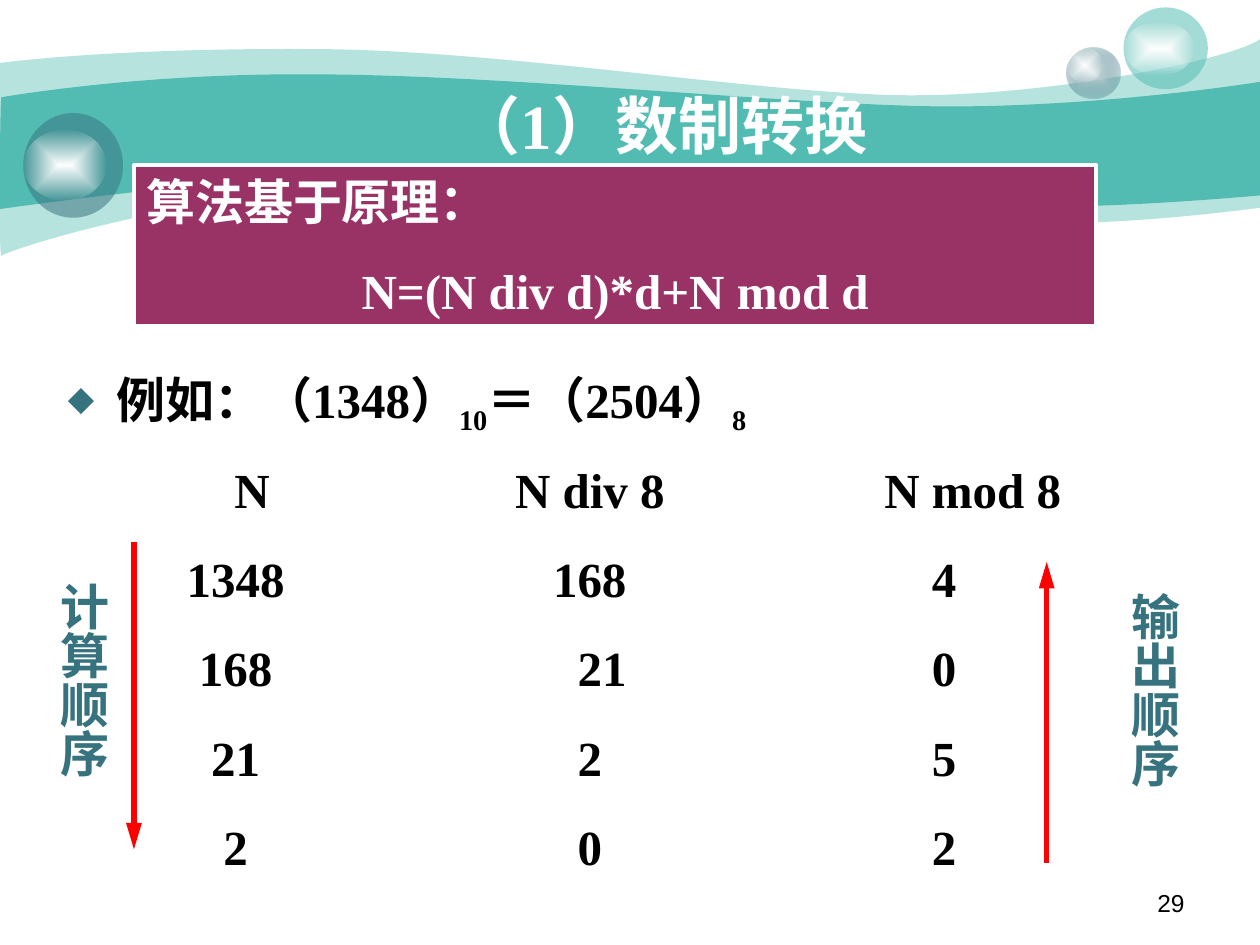
"""Build the number base conversion slide."""
from dataclasses import dataclass

from lxml.etree import SubElement
from pptx import Presentation
from pptx.dml.color import RGBColor
from pptx.enum.shapes import MSO_CONNECTOR as CONN, MSO_SHAPE as SHAPE
from pptx.enum.text import MSO_ANCHOR as ANCHOR, PP_ALIGN as ALIGN
from pptx.oxml.ns import qn
from pptx.util import Cm, Pt

TEAL, DARK, PLUM = "52BCB2", "37737F", "993366"
WHITE, BLACK, RED = "FFFFFF", "000000", "FF0000"
GAP = 17.5


@dataclass
class Wave:
    start: tuple
    segments: list
    alpha: int


@dataclass
class Ball:
    box: tuple
    shine: tuple
    stops: list


@dataclass
class Row:
    cells: tuple
    centres: tuple = (0.99, 8.13, 15.27)


@dataclass
class Order:
    label: str
    label_box: tuple
    x: float
    y1: float
    y2: float


WAVES = [
    Wave((0, 1.27), [
        (0.61, 1.19, 2.72, 0.97, 6.27, 0.99), (9.8, 0.99, 14.61, 1.78, 17.75, 1.91),
        (20.88, 2.03, 24.89, 1.19, 25.4, 0.79), (25.4, 4.19),
        (21.79, 4.65, 19.99, 4.5, 17.91, 4.45), (15.8, 4.39, 13.08, 3.84, 8.71, 3.76),
        (4.37, 3.66, 0.1, 5.05, 0.03, 5.16), (-0.03, 5.28, 0, 1.91, 0, 1.27)], 41),
    Wave((0.03, 1.96), [
        (0.05, 1.96, 2.79, 1.47, 6.3, 1.5), (9.8, 1.5, 15.11, 2.03, 18.24, 2.13),
        (21.36, 2.24, 24.79, 1.75, 25.4, 1.65), (25.4, 3.94),
        (21.67, 4.27, 19.43, 4.19, 17.32, 4.09), (15.21, 4.01, 11.35, 3.45, 8.05, 3.48),
        (5.16, 3.48, -0.05, 4.22, -0.03, 4.22), (0, 4.22, 0, 1.96, 0.03, 1.96)], 100),
]
BALLS = [
    Ball((21.51, 0.97, 1.07, 1.02), (21.51, 0.97, 0.71, 0.69), [("CCDBDE", 100), (DARK, 31)]),
    Ball((22.65, 0.15, 1.7, 1.65), (22.65, 0.43, 1.42, 1.09), [(TEAL, 53)]),
    Ball((0.47, 2.28, 2.01, 2.11), (0.47, 2.62, 1.68, 1.42), [(DARK, 53)]),
]
ROWS = [
    Row(("N", "N div 8", "N mod 8"), (1.32, 8.13, 15.85)),
    Row(("1348", "168", "4")),
    Row(("168", "21", "0"), (0.99, 8.38, 15.27)),
    Row(("21", "2", "5")),
    Row(("2", "0", "2")),
]
ORDERS = [
    Order("计算顺序", (0.72, 9.93, 1.68, 7.59), 2.7, 10.92, 17.12),
    Order("输出顺序", (22.31, 10.13, 1.68, 7.59), 21.1, 17.4, 11.33),
]


def rgb(value: str) -> RGBColor:
    return RGBColor.from_string(value)


def add_alpha(color, percent: int) -> None:
    if percent < 100:
        SubElement(color, qn("a:alpha"), val=str(percent * 1000))


def paint(sp, stops: list) -> None:
    """Fill with one (colour, opacity) stop, or with a gradient from the centre."""
    sp.shadow.inherit = False
    sp.line.fill.background()
    if len(stops) == 1:
        color, alpha = stops[0]
        sp.fill.solid()
        sp.fill.fore_color.rgb = rgb(color)
        add_alpha(sp.fill._xPr.find(f".//{qn('a:srgbClr')}"), alpha)
        return
    sp.fill.gradient()
    grad = sp.fill._xPr.find(qn("a:gradFill"))
    for child in list(grad):
        grad.remove(child)
    stop_list = SubElement(grad, qn("a:gsLst"))
    for pos, (color, alpha) in zip(("0", "100000"), stops):
        stop = SubElement(stop_list, qn("a:gs"), pos=pos)
        add_alpha(SubElement(stop, qn("a:srgbClr"), val=color), alpha)
    focus = SubElement(grad, qn("a:path"), path="rect")
    SubElement(focus, qn("a:fillToRect"), l="50000", t="50000", r="50000", b="50000")


def add_wave(s, wave: Wave) -> None:
    """Lay out all points as a polygon, then join each triple into a Bezier curve."""
    points = [wave.start]
    for seg in wave.segments:
        points += zip(seg[::2], seg[1::2])
    emu = [(Cm(x), Cm(y)) for x, y in points]
    builder = s.shapes.build_freeform(*emu[0])
    builder.add_line_segments(emu[1:])
    sp = builder.convert_to_shape()
    steps = iter(list(sp._element.iter(qn("a:lnTo"))))
    for seg in wave.segments:
        first = next(steps)
        if len(seg) == 2:
            continue
        curve = SubElement(first.getparent(), qn("a:cubicBezTo"))
        first.addprevious(curve)
        for step in (first, next(steps), next(steps)):
            curve.append(step[0])
            step.getparent().remove(step)
    paint(sp, [(TEAL, wave.alpha)])


def add_oval(s, box: tuple, stops: list) -> None:
    paint(s.shapes.add_shape(SHAPE.OVAL, *map(Cm, box)), stops)


def add_box(s, box: tuple, anchor=ANCHOR.TOP):
    tf = s.shapes.add_textbox(*map(Cm, box)).text_frame
    tf.word_wrap = True
    tf.vertical_anchor = anchor
    return tf


def add_text(p, text: str, *, size=28, color=BLACK, bold=True, font="Times New Roman",
             align=ALIGN.LEFT, base=0) -> None:
    p.alignment = align
    r = p.add_run()
    r.text = text
    r.font.size, r.font.bold, r.font.name = Pt(size), bold, font
    r.font.color.rgb = rgb(color)
    if base:
        r.font._element.set("baseline", str(base * 1000))


def add_principle(s) -> None:
    sp = s.shapes.add_shape(SHAPE.RECTANGLE, *map(Cm, (2.7, 3.33, 19.4, 3.25)))
    paint(sp, [(PLUM, 100)])
    sp.line.color.rgb, sp.line.width = rgb(WHITE), Pt(2.25)
    tf = sp.text_frame
    tf.word_wrap, tf.vertical_anchor = True, ANCHOR.TOP
    add_text(tf.paragraphs[0], "算法基于原理：", color=WHITE)
    p = tf.add_paragraph()
    p.space_before = Pt(GAP)
    add_text(p, "N=(N div d)*d+N mod d", color=WHITE, align=ALIGN.CENTER)


def add_example(s) -> None:
    p = add_box(s, (0.9, 7.32, 19.4, 1.6)).paragraphs[0]
    pPr = p._p.get_or_add_pPr()
    pPr.set("marL", str(Cm(1.2)))
    pPr.set("indent", str(Cm(-0.98)))
    SubElement(SubElement(pPr, qn("a:buClr")), qn("a:srgbClr"), val=DARK)
    SubElement(pPr, qn("a:buSzPct"), val="70000")
    SubElement(pPr, qn("a:buChar"), char="◆")
    for text, base in (("例如：（1348）", 0), ("10", -25), ("＝（2504）", 0), ("8", -25)):
        add_text(p, text, base=base)


def add_rows(s, rows: list) -> None:
    tf = add_box(s, (3.51, 9.13, 19, 9.86))
    for i, row in enumerate(rows):
        p = tf.add_paragraph() if i else tf.paragraphs[0]
        if i:
            p.space_before = Pt(GAP)
        tabs = SubElement(p._p.get_or_add_pPr(), qn("a:tabLst"))
        for centre in row.centres:
            SubElement(tabs, qn("a:tab"), pos=str(Cm(centre)), algn="ctr")
        add_text(p, "".join(f"\t{cell}" for cell in row.cells))


def add_order(s, order: Order) -> None:
    ends = map(Cm, (order.x, order.y1, order.x, order.y2))
    line = s.shapes.add_connector(CONN.STRAIGHT, *ends)
    line.line.color.rgb, line.line.width = rgb(RED), Pt(3)
    SubElement(line.line._get_or_add_ln(), qn("a:tailEnd"), type="triangle", len="lg")
    SubElement(line._element.spPr, qn("a:effectLst"))
    tf = add_box(s, order.label_box)
    tf.margin_left = tf.margin_right = Cm(0.13)
    tf.margin_top, tf.margin_bottom = Cm(1.82), Cm(1.5)
    tf._txBody.bodyPr.set("vert", "eaVert")
    add_text(tf.paragraphs[0], order.label, color=DARK)


def main() -> None:
    prs = Presentation()
    prs.slide_width, prs.slide_height = Cm(25.4), Cm(19.05)
    s = prs.slides.add_slide(prs.slide_layouts[6])
    for wave in WAVES:
        add_wave(s, wave)
    for ball in BALLS:
        add_oval(s, ball.box, ball.stops)
        add_oval(s, ball.shine, [(WHITE, 100), (WHITE, 0)])
    add_text(add_box(s, (18.21, 17.78, 5.92, 0.89)).paragraphs[0], "29",
             size=14, bold=False, font="Arial", align=ALIGN.RIGHT)
    add_principle(s)
    add_example(s)
    add_rows(s, ROWS)
    for order in ORDERS:
        add_order(s, order)
    add_text(add_box(s, (3.1, 1.83, 20.52, 1.35), ANCHOR.MIDDLE).paragraphs[0],
             "（1）数制转换", size=36, color=WHITE, align=ALIGN.CENTER)
    prs.save("out.pptx")


if __name__ == "__main__":
    main()
